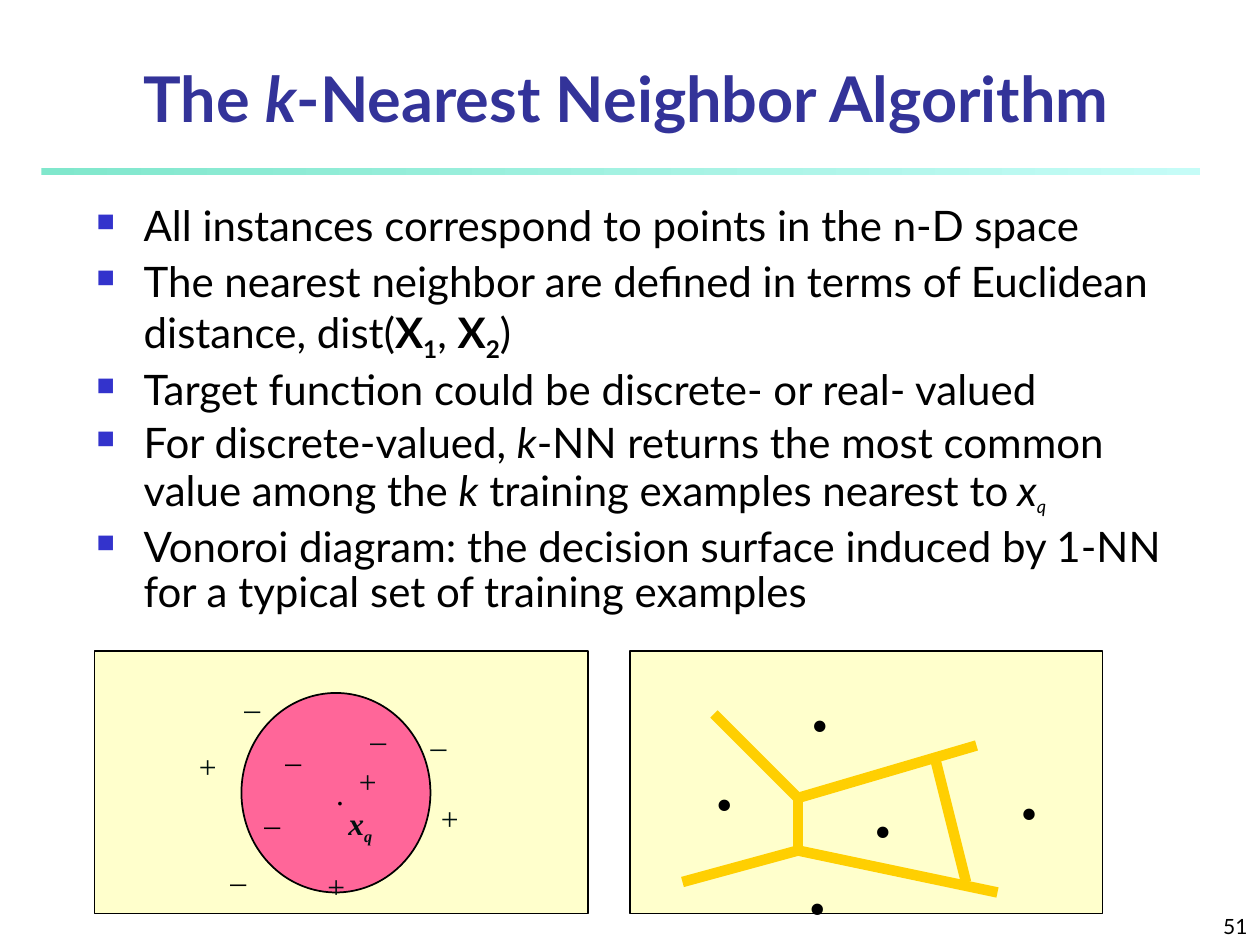
from dataclasses import dataclass

from lxml import etree
from pptx import Presentation
from pptx.dml.color import RGBColor
from pptx.enum.shapes import MSO_CONNECTOR as Connector, MSO_SHAPE as Shape
from pptx.enum.text import MSO_ANCHOR as Anchor, MSO_AUTO_SIZE as AutoSize, PP_ALIGN as Align
from pptx.oxml.ns import qn
from pptx.util import Pt


@dataclass(frozen=True)
class Theme:
    sans: str = "Lato"
    serif: str = "Times New Roman"
    title: str = "333399"
    bullet: str = "3333CC"
    text: str = "000000"
    mark: str = "001010"
    panel: str = "FFFFCC"
    circle: str = "FF6699"
    edge: str = "FFCF01"
    rule: tuple = ("80E7CC", "C5FCF7")
    title_size: float = 36
    body_size: float = 24
    gap_size: float = 20
    query_size: float = 18
    mark_size: float = 18
    mark_sub_size: float = 16
    dot_size: float = 40
    number_size: float = 12


THEME = Theme()
BOLD = {"bold": True}
ITALIC = {"italic": True}
BULLETS = [
    (0, [("All instances correspond to points in the n-D space", {})]),
    (6, [("The nearest neighbor are defined in terms of Euclidean distance, dist(", {}),
         ("X", BOLD), ("1", BOLD | {"sub": True}), (", ", {}),
         ("X", BOLD), ("2", BOLD | {"sub": True}), (")", {})]),
    (6, [("Target function could be discrete- or real- valued", {})]),
    (4.5, [("For discrete-valued, ", {}), ("k", ITALIC),
           ("-NN returns the most common value among the ", {}), ("k", ITALIC),
           (" training examples nearest to", {}), (" ", {"size": THEME.gap_size}),
           ("x", ITALIC), ("q", ITALIC | {"sub": True, "size": THEME.query_size})]),
    (6, [("Vonoroi diagram: the decision surface induced by 1-NN "
          "for a typical set of training examples", {})]),
]
MARKS = [
    ("_", THEME.text, [(102, 42), (90, 78), (70.6, 111)]),
    ("_", THEME.mark, [(150.5, 30), (185, 33.4), (78.5, 12)]),
    ("+", THEME.mark, [(144, 60), (126, 120), (52.6, 51.4), (190.8, 81)]),
]
UPPER_NODE, LOWER_NODE = (96, 84), (96, 114)
EDGES = [
    ((48, 36), UPPER_NODE), (UPPER_NODE, (198, 54)), (UPPER_NODE, LOWER_NODE),
    (LOWER_NODE, (210, 138)), (LOWER_NODE, (30, 132)), ((174, 60), (192, 132)),
]
DOTS = [(96.5, 2.4), (132.5, 62.9), (95, 106.8), (41.8, 47.8), (216, 52.8)]


def rgb(value):
    return RGBColor.from_string(value)


def write_runs(paragraph, runs, font, size, color):
    for text, changes in runs:
        run = paragraph.add_run()
        run.text = text
        style = {"name": font, "size": size} | changes
        subscript = style.pop("sub", False)
        style["size"] = Pt(style["size"])
        for key, value in style.items():
            setattr(run.font, key, value)
        run.font.color.rgb = rgb(color)
        if subscript:
            run.font._element.set("baseline", "-25000")


def add_text(slide, box, runs, font, size, color, align=Align.LEFT, anchor=Anchor.TOP, wrap=True):
    frame = slide.shapes.add_textbox(*map(Pt, box)).text_frame
    frame.word_wrap = wrap
    frame.vertical_anchor = anchor
    if not wrap:
        frame.auto_size = AutoSize.SHAPE_TO_FIT_TEXT
    paragraph = frame.paragraphs[0]
    paragraph.alignment = align
    write_runs(paragraph, runs, font, size, color)


def add_outlined(slide, kind, box, fill):
    shape = slide.shapes.add_shape(kind, *map(Pt, box))
    shape.shadow.inherit = False
    shape.fill.solid()
    shape.fill.fore_color.rgb = rgb(fill)
    shape.line.color.rgb = rgb(THEME.text)
    shape.line.width = Pt(1)
    return shape


def add_rule(slide, box):
    rule = slide.shapes.add_shape(Shape.RECTANGLE, *map(Pt, box))
    rule.shadow.inherit = False
    rule.line.fill.background()
    rule.fill.gradient()
    rule.fill.gradient_angle = 0
    for stop, color in zip(rule.fill.gradient_stops, THEME.rule):
        stop.color.rgb = rgb(color)


def add_title(slide, box):
    runs = [("The ", BOLD), ("k", BOLD | ITALIC), ("-Nearest Neighbor Algorithm", BOLD)]
    add_text(slide, box, runs, THEME.sans, THEME.title_size, THEME.title,
             Align.CENTER, Anchor.MIDDLE)


def add_bullets(slide, box):
    frame = slide.shapes.add_textbox(*map(Pt, box)).text_frame
    frame.word_wrap = True
    for index, (space, runs) in enumerate(BULLETS):
        paragraph = frame.add_paragraph() if index else frame.paragraphs[0]
        paragraph.line_spacing = 0.9
        paragraph.space_before = Pt(space)
        properties = paragraph._p.get_or_add_pPr()
        properties.set("marL", str(Pt(27)))
        properties.set("indent", str(Pt(-27)))
        bullet_color = etree.SubElement(properties, qn("a:buClr"))
        etree.SubElement(bullet_color, qn("a:srgbClr"), val=THEME.bullet)
        etree.SubElement(properties, qn("a:buSzPct"), val="60000")
        etree.SubElement(properties, qn("a:buChar"), char="■")
        write_runs(paragraph, runs, THEME.sans, THEME.body_size, THEME.text)


def add_neighbor_panel(slide, box):
    left, top = box[:2]
    add_outlined(slide, Shape.RECTANGLE, box, THEME.panel)
    circle = add_outlined(slide, Shape.OVAL, (left + 84, top + 24, 108, 114), THEME.circle)
    frame = circle.text_frame
    frame.word_wrap = False
    frame.margin_left = Pt(11.7)
    frame.vertical_anchor = Anchor.MIDDLE
    frame.paragraphs[0].alignment = Align.CENTER
    write_runs(frame.paragraphs[0], [(".", {})], THEME.serif, THEME.mark_size, THEME.text)
    for sign, color, points in MARKS:
        for x, y in points:
            add_text(slide, (left + x, top + y, 24, 29), [(sign, {})],
                     THEME.serif, THEME.mark_size, color, wrap=False)
    query = [("x", BOLD | ITALIC),
             ("q", BOLD | ITALIC | {"sub": True, "size": THEME.mark_sub_size})]
    add_text(slide, (left + 138, top + 84, 28, 31), query,
             THEME.serif, THEME.mark_size, THEME.mark, wrap=False)


def add_voronoi_panel(slide, box):
    left, top = box[:2]
    add_outlined(slide, Shape.RECTANGLE, box, THEME.panel)
    for (x1, y1), (x2, y2) in EDGES:
        ends = (left + x1, top + y1, left + x2, top + y2)
        edge = slide.shapes.add_connector(Connector.STRAIGHT, *map(Pt, ends))
        edge.line.color.rgb = rgb(THEME.edge)
        edge.line.width = Pt(6)
        etree.SubElement(edge._element.spPr, qn("a:effectLst"))
    for x, y in DOTS:
        add_text(slide, (left + x, top + y, 24.5, 55.4), [(".", BOLD)],
                 THEME.serif, THEME.dot_size, THEME.text, wrap=False)


def add_number(slide, box):
    add_text(slide, box, [("51", {})], THEME.sans, THEME.number_size, THEME.text,
             Align.RIGHT, Anchor.BOTTOM)


def main():
    deck = Presentation()
    deck.slide_width, deck.slide_height = Pt(720), Pt(540)
    slide = deck.slides.add_slide(deck.slide_layouts[6])
    add_rule(slide, (23.6, 95.8, 662.4, 4))
    add_number(slide, (570, 510, 150, 30))
    add_title(slide, (36, 39.6, 643.7, 31.7))
    add_bullets(slide, (48, 114, 624, 402))
    add_neighbor_panel(slide, (54, 372, 282, 150))
    add_voronoi_panel(slide, (360, 372, 270, 150))
    deck.save("out.pptx")


if __name__ == "__main__":
    main()
